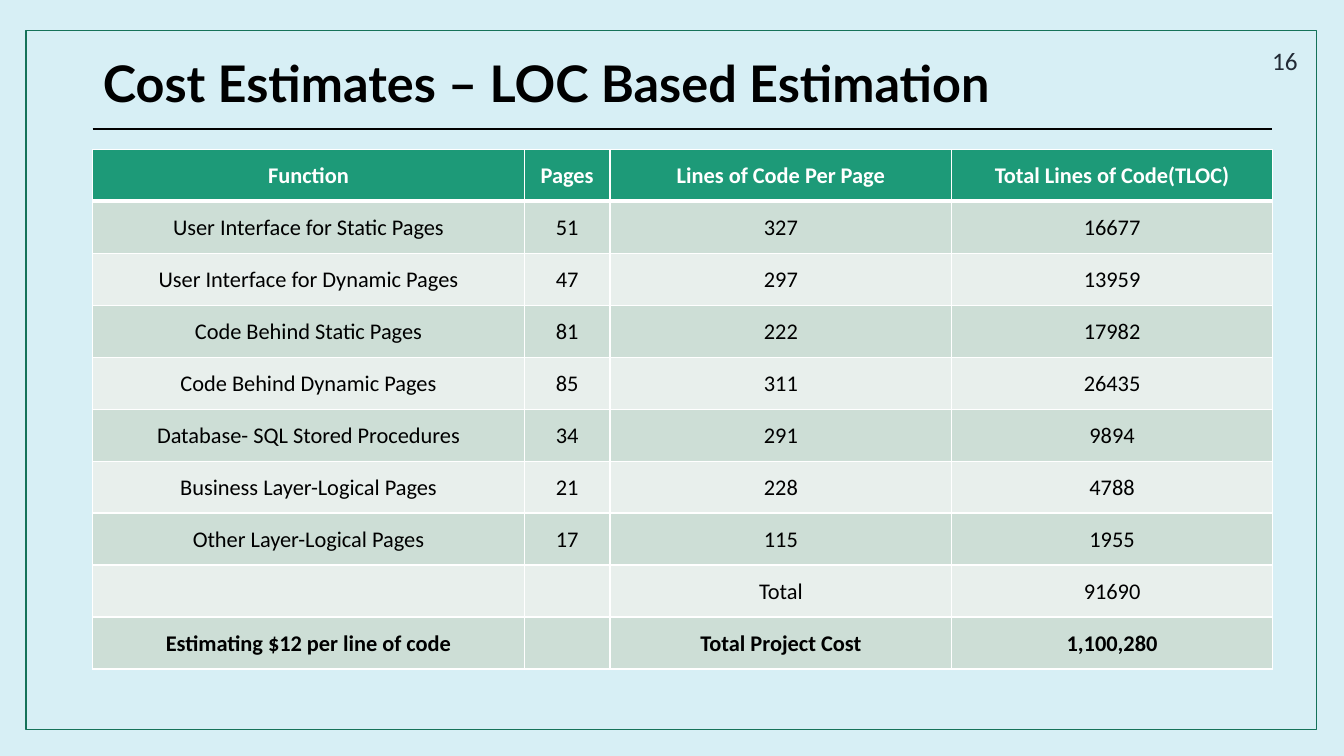
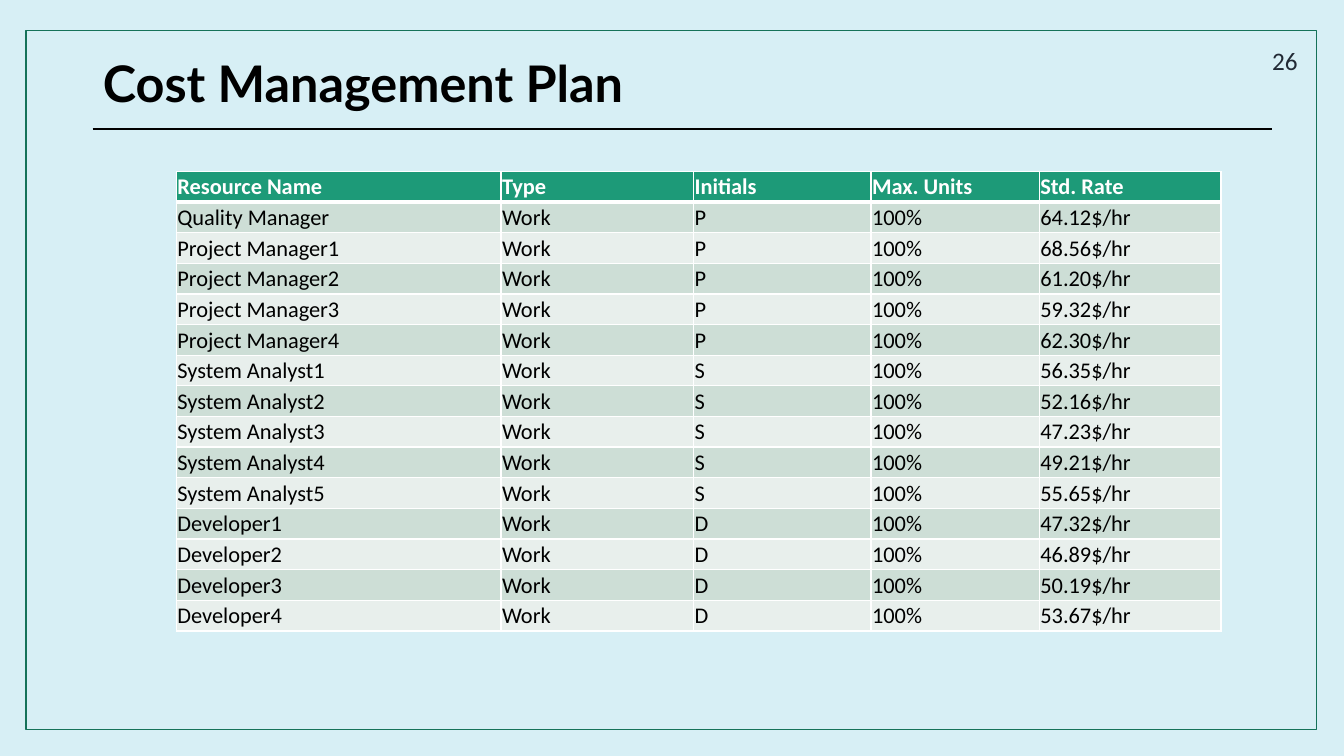
from lxml import etree
from pptx import Presentation
from pptx.dml.color import RGBColor
from pptx.enum.shapes import MSO_CONNECTOR, MSO_SHAPE
from pptx.enum.text import MSO_ANCHOR, PP_ALIGN
from pptx.oxml.ns import qn
from pptx.util import Inches, Pt

STRAIGHT = MSO_CONNECTOR.STRAIGHT
RECTANGLE = MSO_SHAPE.RECTANGLE
MIDDLE = MSO_ANCHOR.MIDDLE
LEFT, CENTER, RIGHT = PP_ALIGN.LEFT, PP_ALIGN.CENTER, PP_ALIGN.RIGHT

LOC_ROWS = [
    ("Function", "Pages", "Lines of Code Per Page", "Total Lines of Code(TLOC)"),
    ("User Interface for Static Pages", "51", "327", "16677"),
    ("User Interface for Dynamic Pages", "47", "297", "13959"),
    ("Code Behind Static Pages", "81", "222", "17982"),
    ("Code Behind Dynamic Pages", "85", "311", "26435"),
    ("Database- SQL Stored Procedures", "34", "291", "9894"),
    ("Business Layer-Logical Pages", "21", "228", "4788"),
    ("Other Layer-Logical Pages", "17", "115", "1955"),
    ("", "", "Total", "91690"),
    ("Estimating $12 per line of code", "", "Total Project Cost", "1,100,280"),
]

STAFF_RATES = [
    ("Quality Manager", "P", "64.12"),
    ("Project Manager1", "P", "68.56"),
    ("Project Manager2", "P", "61.20"),
    ("Project Manager3", "P", "59.32"),
    ("Project Manager4", "P", "62.30"),
    ("System Analyst1", "S", "56.35"),
    ("System Analyst2", "S", "52.16"),
    ("System Analyst3", "S", "47.23"),
    ("System Analyst4", "S", "49.21"),
    ("System Analyst5", "S", "55.65"),
    ("Developer1", "D", "47.32"),
    ("Developer2", "D", "46.89"),
    ("Developer3", "D", "50.19"),
    ("Developer4", "D", "53.67"),
]
RESOURCE_ROWS = [("Resource Name", "Type", "Initials", "Max. Units", "Std. Rate")] + [
    (name, "Work", initial, "100%", f"{rate}$/hr") for name, initial, rate in STAFF_RATES
]


def rgb(value):
    return RGBColor.from_string(value)


class Deck:
    BACKGROUND, FRAME = "D7EFF5", "157259"
    INK, WHITE, NUMBER = "000000", "FFFFFF", "222A35"
    HEADER, BANDS = "1D9A78", ("E8EFEC", "CDDED6")
    TITLE_FONT, BODY_FONT = "Lato", "Calibri"

    def __init__(self):
        self.prs = Presentation()
        self.prs.slide_width = Inches(13.33)
        self.prs.slide_height = Inches(7.5)
        self.slide = None

    def add_slide(self, title, number):
        self.slide = self.prs.slides.add_slide(self.prs.slide_layouts[5])
        background = self.slide.background.fill
        background.solid()
        background.fore_color.rgb = rgb(self.BACKGROUND)
        self.title(title)
        self.rule()
        self.frame()
        self.page_number(number)

    def style(self, paragraph, font_name, size, color, bold=False, align=LEFT):
        paragraph.alignment = align
        font = paragraph.font
        font.name, font.size, font.bold = font_name, Pt(size), bold
        font.color.rgb = rgb(color)

    def title(self, text):
        heading = self.slide.shapes.title
        heading.left, heading.top = Inches(0.92), Inches(0.4)
        heading.width, heading.height = Inches(11.5), Inches(0.91)
        heading.text_frame.text = text
        heading.text_frame.vertical_anchor = MIDDLE
        paragraph = heading.text_frame.paragraphs[0]
        paragraph.line_spacing = 0.9
        self.style(paragraph, self.TITLE_FONT, 36, self.INK, bold=True)

    def rule(self):
        rule = self.slide.shapes.add_connector(
            STRAIGHT, Inches(0.92), Inches(1.28), Inches(12.62), Inches(1.28))
        rule.line.color.rgb = rgb(self.INK)
        rule.line.width = Pt(1.5)
        etree.SubElement(rule._element.spPr, qn("a:effectLst"))

    def frame(self):
        frame = self.slide.shapes.add_shape(
            RECTANGLE, Inches(0.26), Inches(0.3), Inches(12.8), Inches(6.94))
        frame.shadow.inherit = False
        frame.fill.background()
        frame.line.color.rgb = rgb(self.FRAME)
        frame.line.width = Pt(1)

    def page_number(self, number):
        box = self.slide.shapes.add_textbox(
            Inches(9.97), Inches(0.4), Inches(3), Inches(0.4))
        box.text_frame.word_wrap = True
        box.text_frame.vertical_anchor = MIDDLE
        box.text_frame.text = str(number)
        self.style(box.text_frame.paragraphs[0], self.BODY_FONT, 18, self.NUMBER, align=RIGHT)

    def border(self, cell, side, points):
        line = etree.SubElement(cell._tc.get_or_add_tcPr(), qn(f"a:ln{side}"), w=str(Pt(points)))
        fill = etree.SubElement(line, qn("a:solidFill"))
        etree.SubElement(fill, qn("a:srgbClr"), val=self.WHITE)

    def cell(self, cell, text, row, bold, align):
        header = row == 0
        for side in "LRTB":
            under_header = (header and side == "B") or (row == 1 and side == "T")
            self.border(cell, side, 3 if under_header else 1)
        cell.fill.solid()
        cell.fill.fore_color.rgb = rgb(self.HEADER if header else self.BANDS[row % 2])
        cell.margin_left = cell.margin_right = cell.margin_top = Inches(0.01)
        cell.margin_bottom = 0
        cell.vertical_anchor = MIDDLE
        cell.text = text
        self.style(cell.text_frame.paragraphs[0], self.BODY_FONT, 16,
                   self.WHITE if header else self.INK, bold, align)

    def table(self, rows, left, top, widths, height, align=LEFT, bold_rows=(0,)):
        table = self.slide.shapes.add_table(
            len(rows), len(widths), Inches(left), Inches(top),
            Inches(sum(widths)), Inches(height)).table
        table.horz_banding = False
        for column, width in zip(table.columns, widths):
            column.width = Inches(width)
        for r, values in enumerate(rows):
            table.rows[r].height = Inches(height / len(rows))
            for c, text in enumerate(values):
                self.cell(table.cell(r, c), text, r, r in bold_rows, align)


def main():
    deck = Deck()

    deck.add_slide("Cost Estimates – LOC Based Estimation", 16)
    deck.table(LOC_ROWS, 0.92, 1.48, (4.28, 0.85, 3.39, 3.18), 5.16,
               align=CENTER, bold_rows=(0, len(LOC_ROWS) - 1))

    deck.add_slide("Cost Management Plan", 26)
    deck.table(RESOURCE_ROWS, 1.75, 1.7, (3.22, 1.91, 1.76, 1.67, 1.8), 4.56)

    deck.prs.save("out.pptx")


if __name__ == "__main__":
    main()
